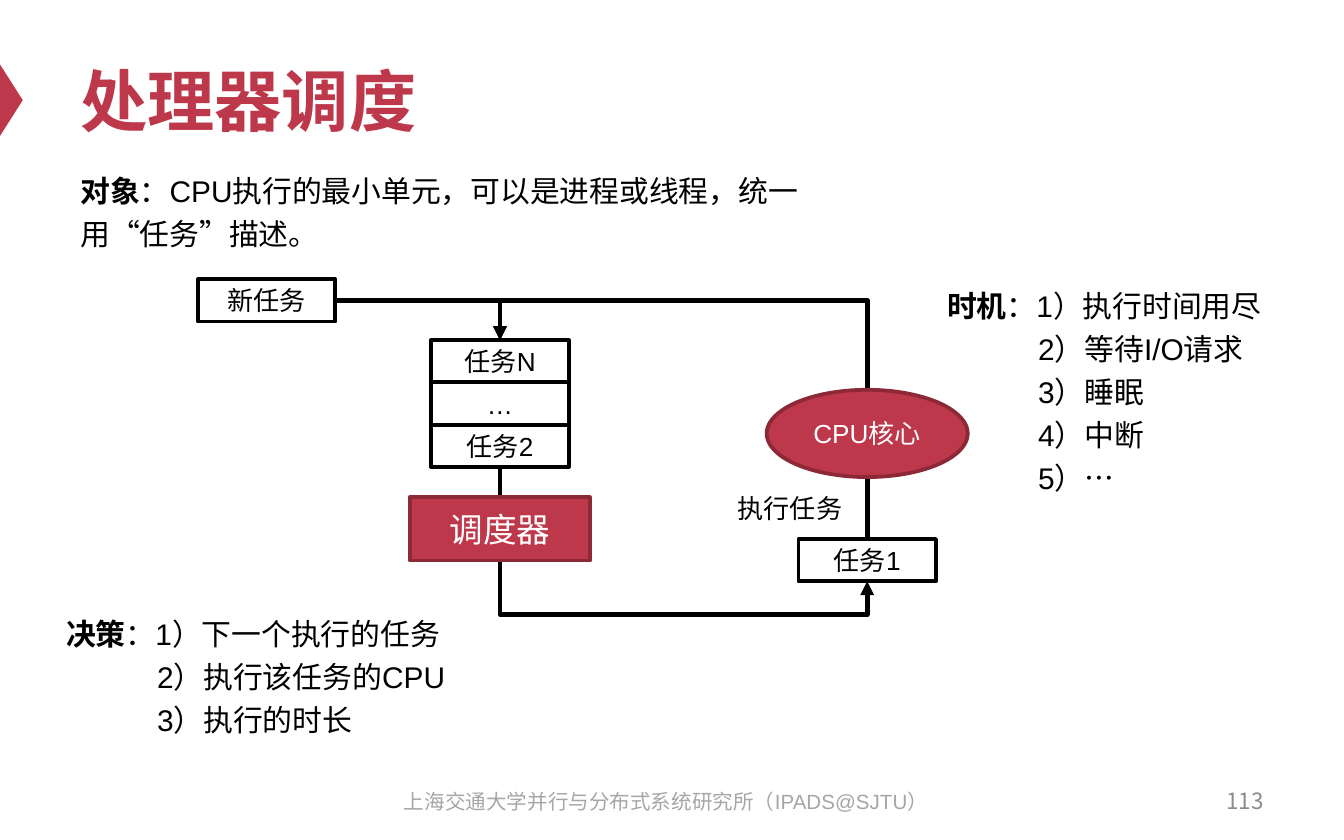
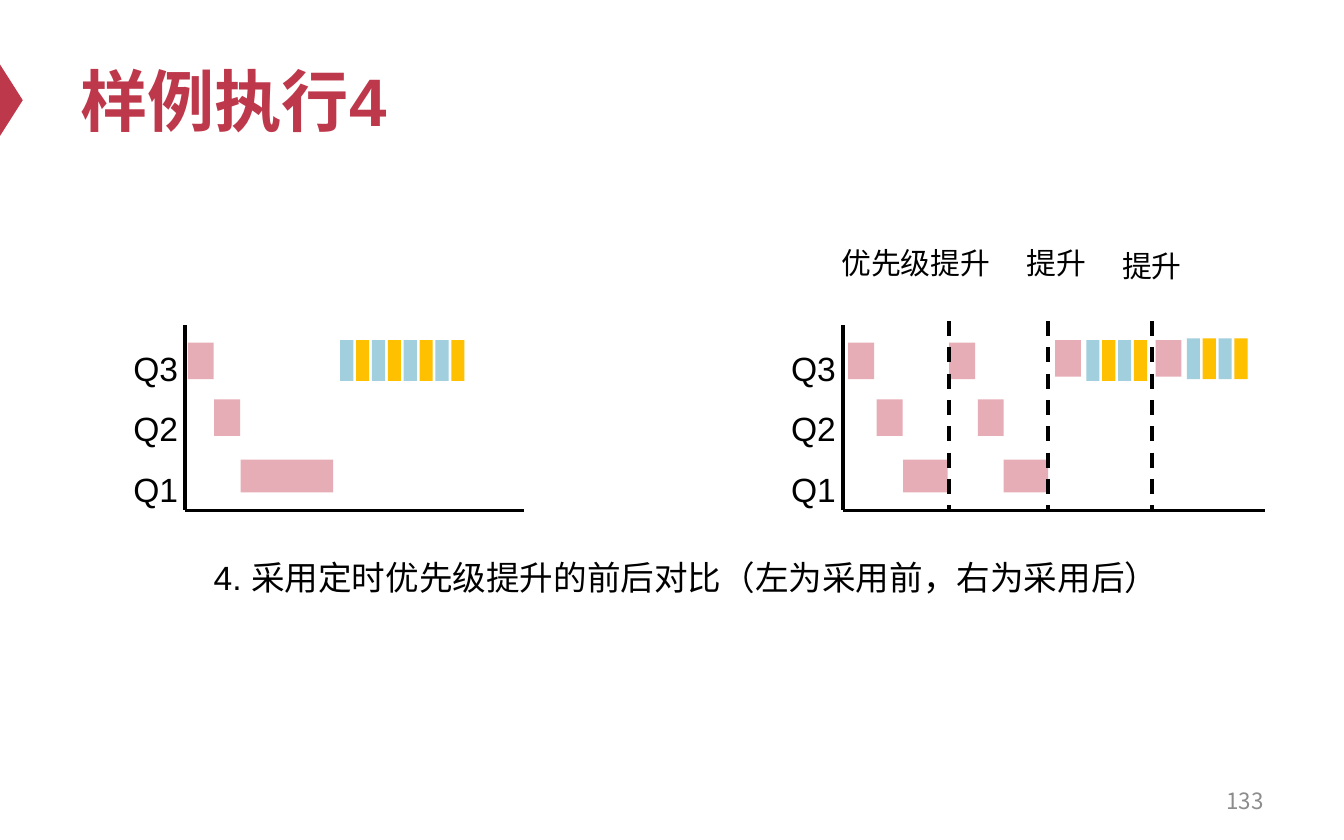
import pptx
import pptx.util
from pptx.dml.color import RGBColor
from pptx.enum.dml import MSO_LINE
from pptx.enum.shapes import MSO_CONNECTOR, MSO_SHAPE
from pptx.enum.text import MSO_ANCHOR, PP_ALIGN
from pptx.oxml.ns import qn
from lxml import etree

Cm = pptx.util.Cm
COLORS = {
    "red": "BE384B", "dark_red": "8D2937", "black": "000000", "white": "FFFFFF",
    "page_gray": "8C8C8C", "footer_gray": "A6A6A6",
    "pink": "E7ADB6", "blue": "A1CFDE", "yellow": "FFC000",
}
LATIN, CJK = "Arial", "Noto Sans CJK SC"


class Slides:
    """Holds the shared style and the current page."""

    def __init__(self):
        self.deck = pptx.Presentation()
        self.deck.slide_width, self.deck.slide_height = Cm(25.4), Cm(15.88)
        self.page = None

    def color(self, name):
        return RGBColor.from_string(COLORS[name])

    def new_page(self, title, number):
        self.page = self.deck.slides.add_slide(self.deck.slide_layouts[6])
        marker = self.shape(-0.46, 1.68, 1.35, 0.43, "red", kind=MSO_SHAPE.ISOSCELES_TRIANGLE)
        marker.rotation = 90
        self.text(1.27, 0.64, 22.86, 2.49, [title], size=36, color="red", bold=True, middle=True)
        self.text(18.21, 14.71, 5.92, 0.84, [number], size=12, color="page_gray",
                  align=PP_ALIGN.RIGHT, font=CJK, middle=True)

    def add_lines(self, frame, lines, size, color="black", bold=False, lead=None,
                  align=PP_ALIGN.LEFT, spacing=None, indent=0, font=LATIN):
        """Add the lines; lead is a bold opening of the first, indent applies to the rest."""
        for index, line in enumerate(lines):
            para = frame.paragraphs[0] if index == 0 else frame.add_paragraph()
            para.alignment = align
            if spacing:
                para.line_spacing = spacing
            if index and indent:
                para._p.get_or_add_pPr().set("marL", str(Cm(indent)))
            spans = [(line, bold)]
            if index == 0 and lead:
                spans.insert(0, (lead, True))
            for content, heavy in spans:
                span = para.add_run()
                span.text = content
                span.font.size = pptx.util.Pt(size)
                span.font.bold = heavy
                span.font.color.rgb = self.color(color)
                span.font.name = font
                etree.SubElement(span._r.get_or_add_rPr(), qn("a:ea"), typeface=CJK)

    def text(self, left, top, width, height, lines, size, middle=False, **style):
        box = self.page.shapes.add_textbox(Cm(left), Cm(top), Cm(width), Cm(height))
        box.text_frame.word_wrap = True
        if middle:
            box.text_frame.vertical_anchor = MSO_ANCHOR.MIDDLE
        self.add_lines(box.text_frame, lines, size, **style)

    def shape(self, left, top, width, height, fill=None, line=None, label=None,
              size=14, label_color="black", kind=MSO_SHAPE.RECTANGLE):
        shape = self.page.shapes.add_shape(kind, Cm(left), Cm(top), Cm(width), Cm(height))
        shape.shadow.inherit = False
        if fill:
            shape.fill.solid()
            shape.fill.fore_color.rgb = self.color(fill)
        else:
            shape.fill.background()
        if line:
            shape.line.color.rgb = self.color(line)
            shape.line.width = pptx.util.Pt(2)
        else:
            shape.line.fill.background()
        if label:
            shape.text_frame.vertical_anchor = MSO_ANCHOR.MIDDLE
            self.add_lines(shape.text_frame, [label], size, label_color, align=PP_ALIGN.CENTER)
        return shape

    def line(self, start, end, width=2, dashed=False, kind=MSO_CONNECTOR.STRAIGHT):
        line = self.page.shapes.add_connector(kind, *map(Cm, start + end))
        line.line.color.rgb = self.color("black")
        line.line.width = pptx.util.Pt(width)
        if dashed:
            line.line.dash_style = MSO_LINE.DASH
        etree.SubElement(line._element.spPr, qn("a:effectLst"))
        return line

    def elbow(self, start, end, bend=None):
        """Arrow with one corner, or a vertical-first detour when bend is given."""
        if bend is None:
            arrow = self.line(start, end, 2.5, kind=MSO_CONNECTOR.ELBOW)
            arrow._element.spPr.find(qn("a:prstGeom")).set("prst", "bentConnector2")
        else:
            # A quarter turn swaps the width and height around the same centre
            wide, tall = abs(end[1] - start[1]), abs(end[0] - start[0])
            left = (start[0] + end[0] - wide) / 2
            top = (start[1] + end[1] - tall) / 2
            arrow = self.line((left, top), (left + wide, top + tall), 2.5,
                              kind=MSO_CONNECTOR.ELBOW)
            frame = arrow._element.spPr.find(qn("a:xfrm"))
            frame.set("rot", str(270 * 60000))
            frame.set("flipH" if end[0] > start[0] else "flipV", "1")
            guides = arrow._element.spPr.find(qn("a:prstGeom")).find(qn("a:avLst"))
            etree.SubElement(guides, qn("a:gd"), name="adj1", fmla=f"val {round(bend * 100000)}")
        etree.SubElement(arrow.line._get_or_add_ln(), qn("a:tailEnd"), type="triangle")

    def task(self, left, top, label):
        self.shape(left, top, 2.6, 0.8, line="black", label=label)

    def queue_axes(self, left, right):
        top, bottom = 6.15, 9.65
        self.text(left - 1.23, 6.07, 1.52, 3.58, ["Q3", "Q2", "Q1"], 18, spacing=1.5)
        self.line((left, top), (left, bottom))
        self.line((left, bottom), (right, bottom))

    def descent(self, q3, q2, q1, q1_width):
        """One long job sinking through the three queues."""
        self.shape(q3, 6.48, 0.49, 0.69, "pink")
        self.shape(q2, 7.55, 0.49, 0.69, "pink")
        self.shape(q1, 8.69, q1_width, 0.62, "pink")

    def stripes(self, left, top, count):
        """Two short jobs taking turns."""
        for index in range(count):
            self.shape(left + index * 0.3, top, 0.25, 0.77, ("blue", "yellow")[index % 2])


def scheduling(slides):
    slides.new_page("处理器调度", "113")
    queue_x, core_x = 9.45, 16.39
    slides.elbow((queue_x, 8.82), (core_x, 10.99), bend=1.29)

    # Ready queue and scheduler
    for index, label in enumerate(["任务N", "…", "任务2"]):
        slides.task(queue_x - 1.3, 6.43 + index * 0.8, label)
    slides.shape(queue_x - 1.7, 9.4, 3.4, 1.2, "red", "dark_red", "调度器", 18, "white")

    # Running task and core
    slides.text(13.69, 9.19, 3.15, 0.86, ["执行任务"], 14)
    slides.task(core_x - 1.3, 10.19, "任务1")
    slides.elbow((core_x, 10.19), (queue_x, 6.43), bend=1.2)
    slides.shape(core_x - 1.9, 7.37, 3.8, 1.65, "red", "dark_red", "CPU核心", 14, "white",
                 MSO_SHAPE.OVAL)

    # New task
    slides.task(3.74, 5.28, "新任务")
    slides.elbow((6.34, 5.68), (queue_x, 6.43))

    # Explanations
    notes = {"size": 16, "spacing": 1.2, "indent": 1.72}
    slides.text(1.27, 3, 14.35, 1.83,
                ["：CPU执行的最小单元，可以是进程或线程，统一用“任务”描述。"], lead="对象", **notes)
    slides.text(1, 11.38, 8.13, 2.64,
                ["：1）下一个执行的任务", "2）执行该任务的CPU", "3）执行的时长"], lead="决策", **notes)
    slides.text(17.65, 5.18, 6.83, 4.29,
                ["：1）执行时间用尽", "2）等待I/O请求", "3）睡眠", "4）中断", "5）…"],
                lead="时机", **notes)
    slides.text(7.09, 14.73, 11, 0.84, ["上海交通大学并行与分布式系统研究所（IPADS@SJTU）"], 11,
                color="footer_gray", align=PP_ALIGN.CENTER, middle=True)


def priority_boost(slides):
    slides.new_page("样例执行4", "133")
    slides.text(3.53, 10.26, 18.87, 1.78,
                ["4. 采用定时优先级提升的前后对比（左为采用前，右为采用后）"], 18,
                align=PP_ALIGN.CENTER, spacing=1.2)

    # Before boosting
    slides.queue_axes(3.5, 9.9)
    slides.descent(3.55, 4.05, 4.55, 1.75)
    slides.stripes(6.43, 6.43, 8)

    # After boosting
    slides.queue_axes(15.93, 23.9)
    slides.descent(16.03, 16.57, 17.07, 0.84)
    slides.descent(17.94, 18.48, 18.97, 0.84)
    for left in (19.94, 21.84):
        slides.shape(left, 6.43, 0.49, 0.69, "pink")
    slides.stripes(20.53, 6.43, 4)
    slides.stripes(22.43, 6.4, 4)

    # Boost moments
    for moment in (17.93, 19.81, 21.77):
        slides.line((moment, 6.07), (moment, 9.65), dashed=True)
    for left, top, width, label in [(15.65, 4.5, 3.45, "优先级提升"),
                                    (19.15, 4.5, 1.88, "提升"),
                                    (20.96, 4.55, 1.88, "提升")]:
        slides.text(left, top, width, 0.94, [label], 16)


def main():
    slides = Slides()
    scheduling(slides)
    priority_boost(slides)
    slides.deck.save("out.pptx")


if __name__ == "__main__":
    main()
